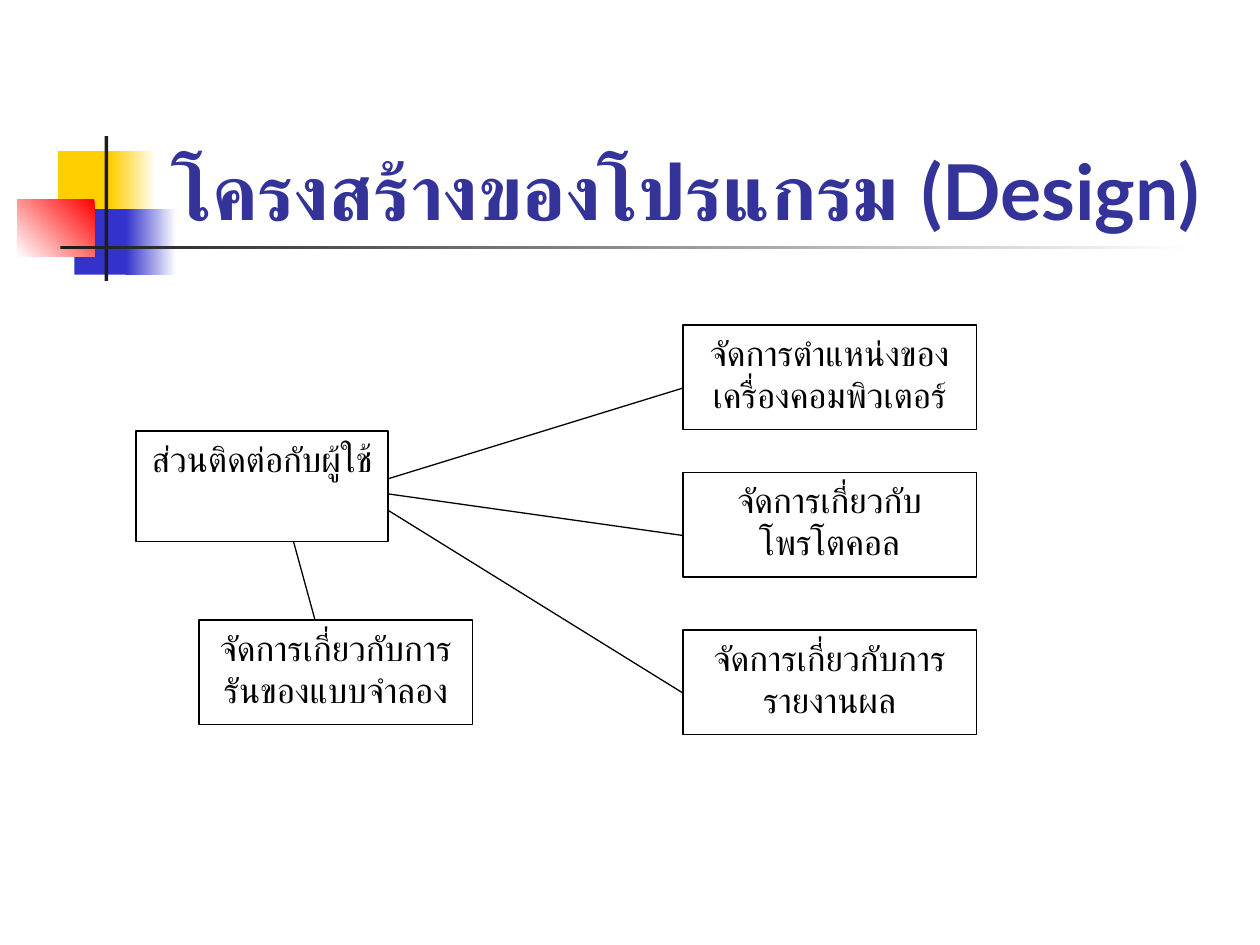
import pptx
import pptx.dml.color
import pptx.enum.shapes
import pptx.enum.text
import pptx.oxml
import pptx.util
from pptx.util import Inches, Pt

THEME = {
    "font": "Lato", "title_size": 44, "box_size": 20, "line_width": 0.75,
    "title": "333399", "ink": "000000", "paper": "FFFFFF", "bar": "1C1C1C",
    "yellow": "FFCF01", "blue": "3333CC", "red": "FF0000",
}

TITLE = "โครงสร้างของโปรแกรม (Design)"

# Ornament: left, top, width, height, colour, angle of the fade to white (None = solid)
ORNAMENT = [
    (0.46, 1.2, 0.48, 0.52, "yellow", None),
    (0.88, 1.2, 0.36, 0.52, "yellow", 0),
    (0.59, 1.66, 0.46, 0.52, "blue", None),
    (1, 1.66, 0.4, 0.52, "blue", 0),
    (0.14, 1.58, 0.61, 0.46, "red", 225),
    (0.83, 1.08, 0.03, 1.15, "bar", None),
    (0.48, 1.95, 9, 0.03, "bar", 0),
]

# Diagram: the user interface, the modules to its right and the one below
INTERFACE = ("ส่วนติดต่อกับผู้ใช้", (1.08, 3.42, 2, 0.88))
SIMULATION = ("จัดการเกี่ยวกับการรันของแบบจำลอง", (1.58, 4.92, 2.17, 0.83))
MODULE_LEFT, MODULE_WIDTH, MODULE_HEIGHT = 5.42, 2.33, 0.83
# Text, top of the box, height at which its line leaves the interface
MODULES = [
    ("จัดการตำแหน่งของ\nเครื่องคอมพิวเตอร์", 2.58, 3.8),
    ("จัดการเกี่ยวกับ\nโพรโตคอล", 3.75, 3.92),
    ("จัดการเกี่ยวกับการ\nรายงานผล", 5, 4.05),
]
LINE_DROP = 0.5  # from the top of a module to the end of its line


def color(name):
    return pptx.dml.color.RGBColor.from_string(THEME[name])


def style_font(font, size, color_name, bold=False):
    font.name = THEME["font"]
    font.size = Pt(THEME[size])
    font.bold = bold
    font.color.rgb = color(color_name)


def add_rectangle(slide, frame, fill, fade_angle=None):
    shape = slide.shapes.add_shape(
        pptx.enum.shapes.MSO_SHAPE.RECTANGLE, *map(Inches, frame))
    shape.shadow.inherit = False
    shape.line.fill.background()
    if fade_angle is None:
        shape.fill.solid()
        shape.fill.fore_color.rgb = color(fill)
    else:
        shape.fill.gradient()
        shape.fill.gradient_angle = fade_angle
        for stop, name in zip(shape.fill.gradient_stops, (fill, "paper")):
            stop.color.rgb = color(name)
    return shape


def add_box(slide, text, frame):
    box = add_rectangle(slide, frame, "paper")
    box.line.color.rgb = color("ink")
    box.line.width = Pt(THEME["line_width"])
    text_frame = box.text_frame
    text_frame.word_wrap = True
    text_frame.vertical_anchor = pptx.enum.text.MSO_ANCHOR.TOP
    text_frame.text = text
    for paragraph in text_frame.paragraphs:
        paragraph.alignment = pptx.enum.text.PP_ALIGN.CENTER
        for run in paragraph.runs:
            style_font(run.font, "box_size", "ink")


def add_line(slide, start, end):
    line = slide.shapes.add_connector(
        pptx.enum.shapes.MSO_CONNECTOR.STRAIGHT, *map(Inches, start + end))
    line.line.color.rgb = color("ink")
    line.line.width = Pt(THEME["line_width"])
    line.element.spPr.append(pptx.oxml.parse_xml(
        '<a:effectLst xmlns:a="http://schemas.openxmlformats.org/drawingml/2006/main"/>'))


def add_title(slide):
    title = slide.shapes.title
    title.left, title.top, title.width, title.height = map(
        Inches, (1.26, 0.67, 8.52, 1.25))
    title.element.getparent().append(title.element)  # in front of the ornament
    title.text_frame.text = TITLE
    title.text_frame.vertical_anchor = pptx.enum.text.MSO_ANCHOR.BOTTOM
    paragraph = title.text_frame.paragraphs[0]
    paragraph.alignment = pptx.enum.text.PP_ALIGN.LEFT
    style_font(paragraph.runs[0].font, "title_size", "title", bold=True)


def main():
    presentation = pptx.Presentation()
    presentation.slide_width, presentation.slide_height = Inches(10), Inches(7.5)
    slide = presentation.slides.add_slide(presentation.slide_layouts[5])

    # Ornament and title
    for *frame, fill, fade_angle in ORNAMENT:
        add_rectangle(slide, frame, fill, fade_angle)
    add_title(slide)

    # Boxes
    add_box(slide, *INTERFACE)
    for text, top, _ in MODULES:
        add_box(slide, text, (MODULE_LEFT, top, MODULE_WIDTH, MODULE_HEIGHT))
    add_box(slide, *SIMULATION)

    # Lines from the interface
    left, top, width, height = INTERFACE[1]
    for _, module_top, start_y in MODULES:
        add_line(slide, (left + width, start_y), (MODULE_LEFT, module_top + LINE_DROP))
    add_line(slide, (2.33, top + height), (2.5, SIMULATION[1][1]))

    presentation.save("out.pptx")


if __name__ == "__main__":
    main()
